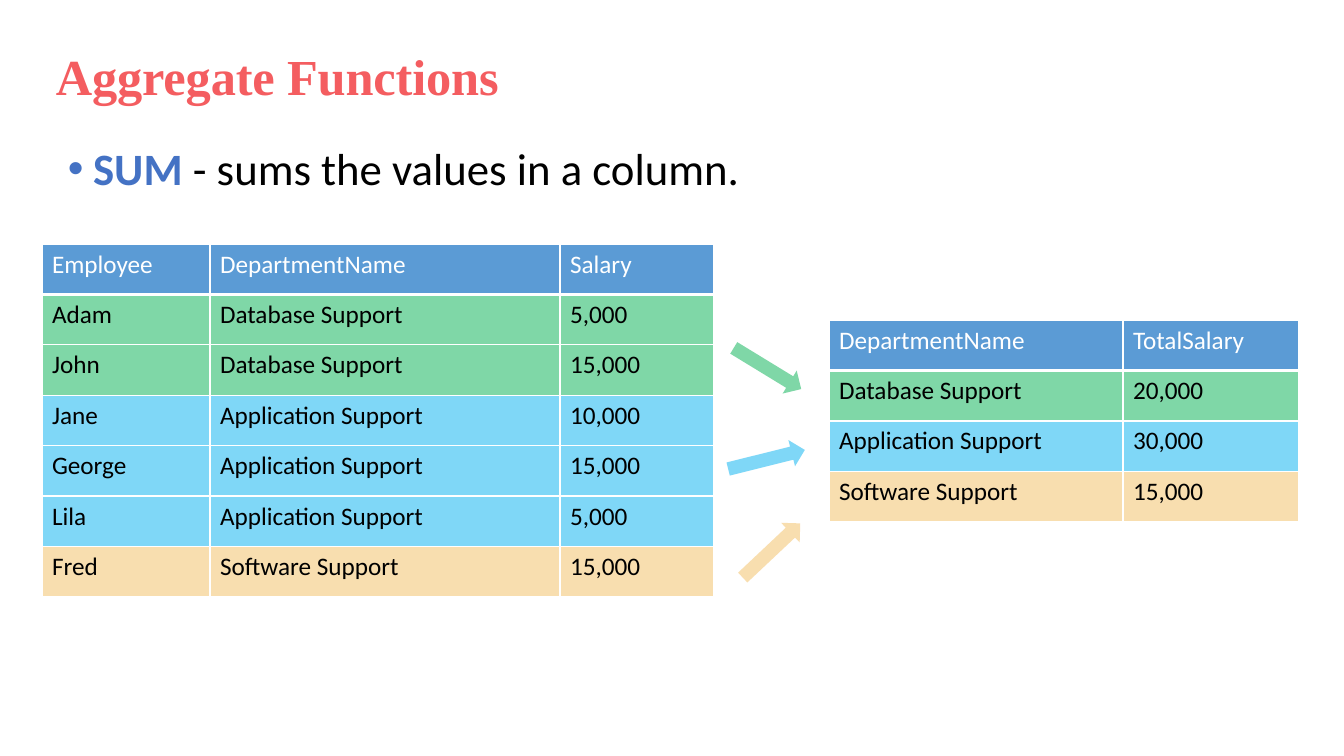
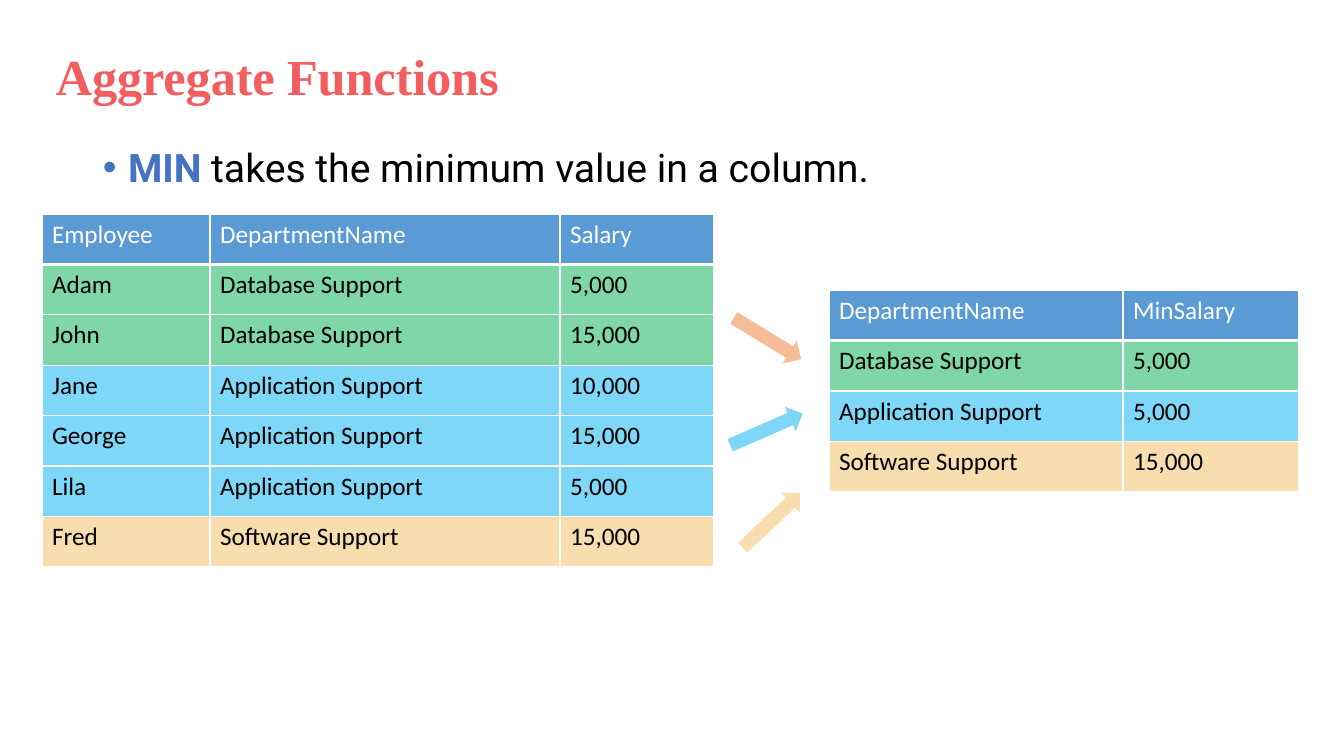
from lxml.etree import SubElement
from pptx import Presentation
from pptx.dml.color import RGBColor
from pptx.enum.shapes import MSO_SHAPE as Shape
from pptx.oxml import parse_xml
from pptx.oxml.ns import nsdecls, qn
from pptx.util import Emu, Pt

SLIDE_W, SLIDE_H = 1344, 756
SCALE = 12192000 / SLIDE_W

CORAL = RGBColor(0xF4, 0x5D, 0x60)
BLUE = RGBColor(0x44, 0x72, 0xC4)
HEADER = RGBColor(0x5B, 0x9B, 0xD5)
GREEN = RGBColor(0x00, 0xB0, 0x50)
SKY = RGBColor(0x00, 0xB0, 0xF0)
SAND = RGBColor(0xF3, 0xBE, 0x60)
ORANGE = RGBColor(0xED, 0x7D, 0x31)
BLACK = RGBColor(0x00, 0x00, 0x00)
WHITE = RGBColor(0xFF, 0xFF, 0xFF)

BODY_FONT = "Calibri"
TITLE_FONT = "Times New Roman"

DEPARTMENTS = {
    "Database Support": GREEN,
    "Application Support": SKY,
    "Software Support": SAND,
}
EMPLOYEES = [
    ("Employee", "DepartmentName", "Salary"),
    ("Adam", "Database Support", "5,000"),
    ("John", "Database Support", "15,000"),
    ("Jane", "Application Support", "10,000"),
    ("George", "Application Support", "15,000"),
    ("Lila", "Application Support", "5,000"),
    ("Fred", "Software Support", "15,000"),
]
ARROW_PLACES = [(728, 111), (727, 202), (732, 293)]


def px(n):
    return Emu(round(n * SCALE))


def add_run(p, text, size, font, color, bold=False):
    r = p.add_run()
    r.text = text
    r.font.size = Pt(size)
    r.font.name = font
    r.font.color.rgb = color
    r.font.bold = bold
    return r


def add_text(s, x, y, w, h):
    tf = s.shapes.add_textbox(px(x), px(y), px(w), px(h)).text_frame
    tf.word_wrap = True
    return tf.paragraphs[0]


def add_title(s, text):
    p = add_text(s, 46, 40, 953, 72)
    r = add_run(p, text, 36, TITLE_FONT, CORAL, True)
    r.font._element.set("spc", "-10")


def add_bullet(s, box, keyword, text, size, font):
    p = add_text(s, *box)
    pPr = p._p.get_or_add_pPr()
    pPr.set("marL", "228600")
    pPr.set("indent", "-228600")
    SubElement(pPr, qn("a:buFont"), typeface="Arial")
    SubElement(pPr, qn("a:buChar"), char="•")
    add_run(p, keyword, size, font, BLUE, True)
    add_run(p, text, size, font, BLACK)


def fill_solid(fill, color, alpha=100):
    fill.solid()
    fill.fore_color.rgb = color
    if alpha < 100:
        clr = fill._xPr.find(qn("a:solidFill"))[0]
        SubElement(clr, qn("a:alpha"), val=str(alpha * 1000))


def set_borders(cell, bottom):
    tcPr = cell._tc.get_or_add_tcPr()
    for i, (side, width) in enumerate(zip("LRTB", (1, 1, 1, bottom))):
        tcPr.insert(i, parse_xml(
            f'<a:ln{side} {nsdecls("a")} w="{Pt(width)}"><a:solidFill>'
            f'<a:srgbClr val="{WHITE}"/></a:solidFill></a:ln{side}>'))


def add_table(s, x, y, widths, height, rows):
    frame = s.shapes.add_table(len(rows), len(widths), px(x), px(y),
                               px(sum(widths)), px(height))
    table = frame.table
    for col, width in zip(table.columns, widths):
        col.width = px(width)
    for i, row in enumerate(rows):
        table.rows[i].height = px(height / len(rows))
        color = next((DEPARTMENTS[t] for t in row if t in DEPARTMENTS), HEADER)
        for j, text in enumerate(row):
            cell = table.cell(i, j)
            fill_solid(cell.fill, color, 50 if i else 100)
            set_borders(cell, 1 if i else 3)
            add_run(cell.text_frame.paragraphs[0], text, 18, BODY_FONT,
                    BLACK if i else WHITE)


def add_arrow(s, x, y, angle, color):
    sp = s.shapes.add_shape(Shape.RIGHT_ARROW, px(x), px(y), px(79), px(27))
    sp.rotation = angle
    sp.shadow.inherit = False
    sp.line.fill.background()
    fill_solid(sp.fill, color, 50)


def add_example(s, top, result, totals, arrows):
    add_table(s, 42, top, (168, 350, 154), 353, EMPLOYEES)
    summary = [("DepartmentName", result), *zip(DEPARTMENTS, totals)]
    add_table(s, 829, top + 76, (294, 176), 202, summary)
    for (x, dy), (angle, color) in zip(ARROW_PLACES, arrows):
        add_arrow(s, x, top + dy, angle, color)
    add_title(s, "Aggregate Functions")


def main():
    prs = Presentation()
    prs.slide_width, prs.slide_height = px(SLIDE_W), px(SLIDE_H)
    blank = prs.slide_layouts[6]

    s = prs.slides.add_slide(blank)
    add_bullet(s, (58, 136, 1202, 551), "SUM",
               " - sums the values in a column.", 32, BODY_FONT)
    add_example(s, 244, "TotalSalary", ("20,000", "30,000", "15,000"),
                [(31.4, GREEN), (346, SKY), (316.7, SAND)])

    s = prs.slides.add_slide(blank)
    add_bullet(s, (93, 138, 1159, 480), "MIN",
               " takes the minimum value in a column.", 28, "Roboto")
    add_example(s, 214, "MinSalary", ("5,000", "5,000", "15,000"),
                [(31.4, ORANGE), (336.4, SKY), (316.7, SAND)])

    prs.save("out.pptx")


if __name__ == "__main__":
    main()
